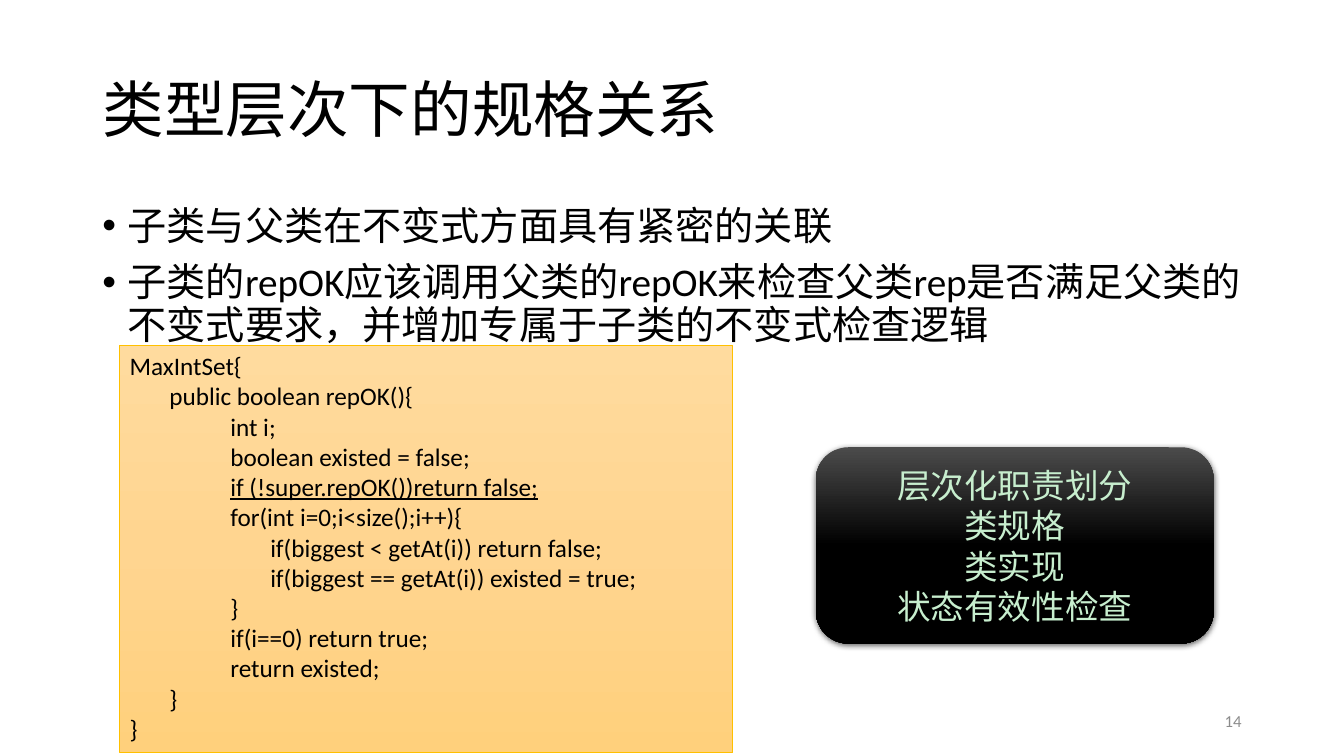
from copy import deepcopy

from lxml.etree import SubElement
from pptx import Presentation
from pptx.dml.color import RGBColor
from pptx.enum.shapes import MSO_SHAPE as Shape
from pptx.enum.text import MSO_ANCHOR as Anchor, MSO_AUTO_SIZE as AutoSize, PP_ALIGN as Align
from pptx.oxml.ns import qn
from pptx.util import Pt

PX = 9525  # 96 px to the inch
FONT = "Calibri"
BLACK = RGBColor(0x00, 0x00, 0x00)
WHITE = RGBColor(0xFF, 0xFF, 0xFF)
GRAY = RGBColor(0x8C, 0x8C, 0x8C)
MINT = RGBColor(0xC7, 0xEE, 0xCE)
GOLD = RGBColor(0xFF, 0xC0, 0x00)
ORANGE_STOPS = [RGBColor(0xFF, 0xDB, 0x9E), RGBColor(0xFF, 0xD5, 0x90), RGBColor(0xFF, 0xD0, 0x7C)]
BLACK_STOPS = [RGBColor(0x4B, 0x4B, 0x4B), BLACK, BLACK]

TITLE = "类型层次下的规格关系"
POINTS = [
    "子类与父类在不变式方面具有紧密的关联",
    "子类的repOK应该调用父类的repOK来检查父类rep是否满足父类的不变式要求，并增加专属于子类的不变式检查逻辑",
]
# Each code line: indent in px, text
METHOD, BODY, LOOP = 38, 96, 134
SUPER_CALL = "if (!super.repOK())return false;"
CODE = [
    (0, "MaxIntSet{"),
    (METHOD, "public boolean repOK(){"),
    (BODY, "int i;"),
    (BODY, "boolean existed = false;"),
    (BODY, SUPER_CALL),
    (BODY, "for(int i=0;i<size();i++){"),
    (LOOP, "if(biggest < getAt(i)) return false;"),
    (LOOP, "if(biggest == getAt(i)) existed = true;"),
    (BODY, "}"),
    (BODY, "if(i==0) return true;"),
    (BODY, "return existed;"),
    (METHOD, "}"),
    (0, "}"),
]
DUTIES = ["层次化职责划分", "类规格", "类实现", "状态有效性检查"]


def place(shape, box):
    shape.left, shape.top, shape.width, shape.height = (value * PX for value in box)


def add_paragraphs(frame, lines, size, color, align=Align.LEFT, anchor=Anchor.TOP):
    """Write one paragraph per line and return the paragraphs."""
    frame.word_wrap = True
    frame.auto_size = AutoSize.NONE
    frame.vertical_anchor = anchor
    for index, line in enumerate(lines):
        paragraph = frame.add_paragraph() if index else frame.paragraphs[0]
        paragraph.alignment = align
        run = paragraph.add_run()
        run.text = line
        run.font.name = FONT
        run.font.size = Pt(size)
        run.font.color.rgb = color
    return frame.paragraphs


def set_indent(paragraph, left, first=0):
    properties = paragraph._p.get_or_add_pPr()
    properties.set("marL", str(left * PX))
    properties.set("indent", str(first * PX))
    return properties


def add_panel(slide, kind, box, colors):
    """Add a shape with a three-stop gradient running downwards."""
    shape = slide.shapes.add_shape(kind, *(value * PX for value in box))
    shape.shadow.inherit = False
    shape.fill.gradient()
    shape.fill.gradient_angle = 270
    stop_list = shape._element.spPr.find(qn("a:gradFill")).find(qn("a:gsLst"))
    stop_list.append(deepcopy(stop_list[-1]))
    for index, (stop, color) in enumerate(zip(shape.fill.gradient_stops, colors)):
        stop.color.rgb = color
        stop.position = index / 2
    return shape


def add_title(slide, box):
    title = slide.shapes.title
    place(title, box)
    paragraph, = add_paragraphs(title.text_frame, [TITLE], 44, BLACK, anchor=Anchor.MIDDLE)
    paragraph.line_spacing = 0.9


def add_points(slide, box):
    body = slide.placeholders[1]
    place(body, box)
    for paragraph in add_paragraphs(body.text_frame, POINTS, 28, BLACK):
        paragraph.line_spacing = 0.9
        paragraph.space_before = Pt(10)
        properties = set_indent(paragraph, 24, -24)
        SubElement(properties, qn("a:buFont")).set("typeface", "Arial")
        SubElement(properties, qn("a:buChar")).set("char", "•")


def add_code(slide, box):
    panel = add_panel(slide, Shape.RECTANGLE, box, ORANGE_STOPS)
    panel.line.color.rgb = GOLD
    panel.line.width = Pt(0.5)
    texts = [text for _, text in CODE]
    paragraphs = add_paragraphs(panel.text_frame, texts, 18, BLACK)
    for paragraph, (indent, text) in zip(paragraphs, CODE):
        set_indent(paragraph, indent)
        if text == SUPER_CALL:
            paragraph.runs[0].font.underline = True


def add_duties(slide, box):
    card = add_panel(slide, Shape.ROUNDED_RECTANGLE, box, BLACK_STOPS)
    card.line.fill.background()
    add_paragraphs(card.text_frame, DUTIES, 24, MINT, Align.CENTER, Anchor.MIDDLE)
    # Soft shadow below the card
    effects = card._element.spPr.find(qn("a:effectLst"))
    shadow = SubElement(effects, qn("a:outerShdw"), blurRad=str(Pt(4.5)),
                        dist=str(Pt(1.5)), dir="5400000", rotWithShape="0")
    color = SubElement(shadow, qn("a:srgbClr"), val=str(BLACK))
    SubElement(color, qn("a:alpha"), val="63000")


def add_slide_number(slide, box):
    number = slide.shapes.add_textbox(*(value * PX for value in box))
    add_paragraphs(number.text_frame, ["14"], 12, GRAY, Align.RIGHT, Anchor.MIDDLE)


def main():
    presentation = Presentation()
    presentation.slide_width = 1280 * PX
    presentation.slide_height = 720 * PX
    slide = presentation.slides.add_slide(presentation.slide_layouts[1])
    slide.background.fill.solid()
    slide.background.fill.fore_color.rgb = WHITE

    add_title(slide, (88, 38, 1104, 139))
    add_points(slide, (88, 192, 1104, 146))
    add_code(slide, (114, 329, 584, 388))
    add_slide_number(slide, (904, 667, 288, 38))
    add_duties(slide, (777, 426, 379, 187))
    presentation.save("out.pptx")


if __name__ == "__main__":
    main()
